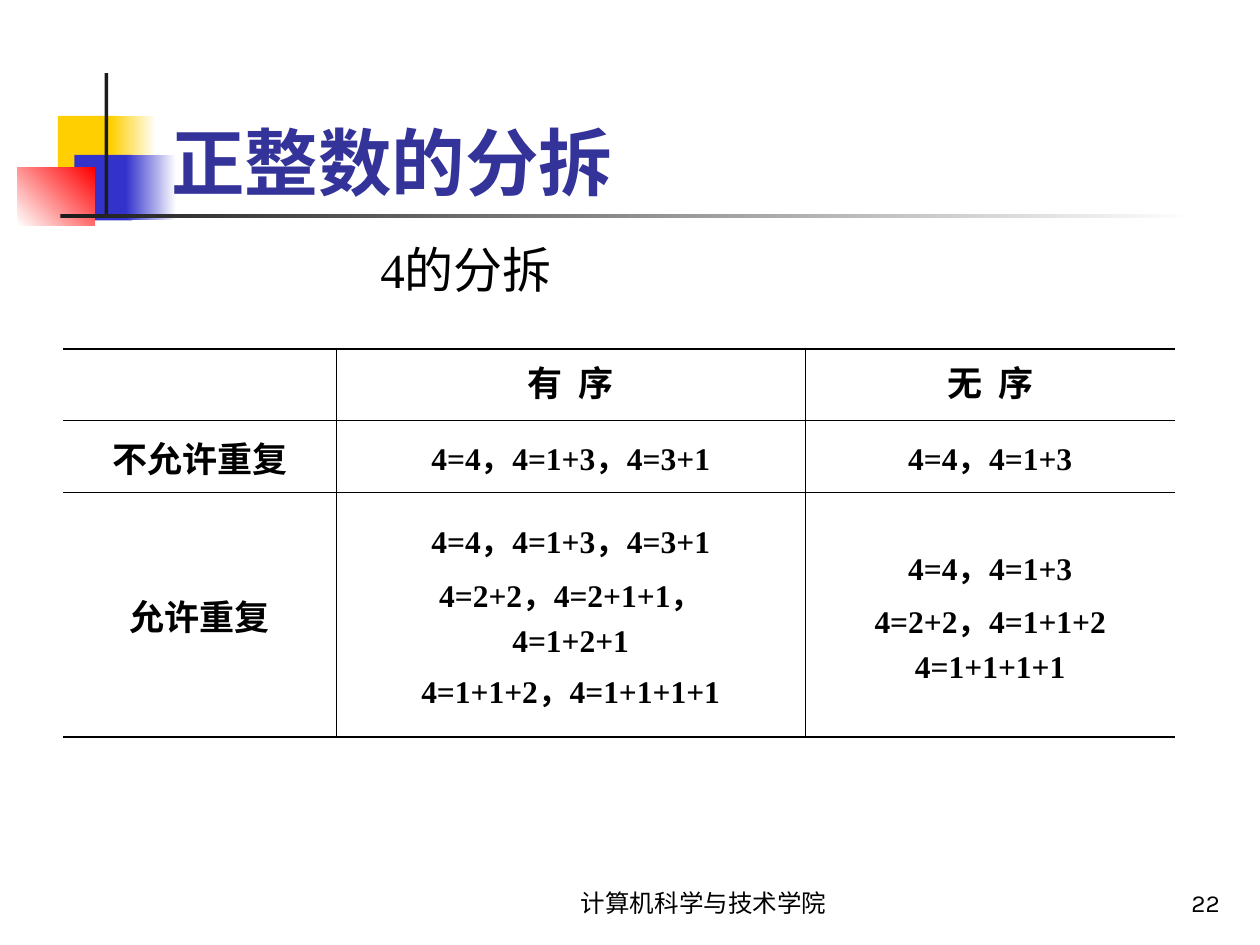
from lxml import etree
from pptx import Presentation
from pptx.dml.color import RGBColor
from pptx.enum import shapes, text
from pptx.oxml import ns
from pptx.util import Inches, Pt

BLACK = RGBColor(0x00, 0x00, 0x00)
WHITE = RGBColor(0xFF, 0xFF, 0xFF)
YELLOW = RGBColor(0xFF, 0xCF, 0x01)
BLUE = RGBColor(0x33, 0x33, 0xCC)
RED = RGBColor(0xFF, 0x00, 0x00)
CHARCOAL = RGBColor(0x1C, 0x1C, 0x1C)
INDIGO = RGBColor(0x33, 0x33, 0x99)
LEFT, CENTER, RIGHT = text.PP_ALIGN.LEFT, text.PP_ALIGN.CENTER, text.PP_ALIGN.RIGHT
TOP, MIDDLE, BOTTOM = (text.MSO_ANCHOR.TOP, text.MSO_ANCHOR.MIDDLE,
                       text.MSO_ANCHOR.BOTTOM)
CJK_FONT = "Noto Sans CJK SC"
SERIF = "Times New Roman"


def write(frame, lines, align, space=0, **format_values):
    """Fill a text frame with one paragraph per line."""
    for index, line in enumerate(lines):
        para = frame.paragraphs[0] if index == 0 else frame.add_paragraph()
        para.alignment = align
        para.space_before = Pt(space if index else 0)
        span = para.add_run()
        span.text = line
        for name, value in format_values.items():
            setattr(span.font, name, value)
        span.font.color.rgb = INDIGO if frame is title_frame else BLACK
        east_asian = etree.SubElement(span.font._element, ns.qn("a:ea"))
        east_asian.set("typeface", CJK_FONT)


def add_border(cell, side, width):
    """Draw one side of a cell; a width of 0 leaves it open."""
    line = etree.SubElement(cell._tc.get_or_add_tcPr(), ns.qn("a:ln" + side))
    line.set("w", str(int(Pt(width))))
    if width:
        fill = etree.SubElement(line, ns.qn("a:solidFill"))
        etree.SubElement(fill, ns.qn("a:srgbClr")).set("val", str(BLACK))
    else:
        etree.SubElement(line, ns.qn("a:noFill"))


deck = Presentation()
deck.slide_width, deck.slide_height = Inches(10), Inches(7.5)
page = deck.slides.add_slide(deck.slide_layouts[5])

# Title
title = page.shapes.title
title.left, title.top = Inches(1.26), Inches(0.08)
title.width, title.height = Inches(8.52), Inches(1.6)
title_frame = title.text_frame
title_frame.auto_size = text.MSO_AUTO_SIZE.NONE
title_frame.vertical_anchor = BOTTOM
write(title_frame, ["正整数的分拆"], LEFT, size=Pt(42), name=CJK_FONT, bold=True)

# Decorative blocks and rules: place, start colour, end colour, angle
ornaments = [
    ((0.46, 0.92, 0.48, 0.52), YELLOW, None, 0),
    ((0.88, 0.92, 0.36, 0.52), YELLOW, WHITE, 0),
    ((0.59, 1.23, 0.46, 0.52), BLUE, None, 0),
    ((1, 1.23, 0.4, 0.52), BLUE, WHITE, 0),
    ((0.14, 1.33, 0.61, 0.46), WHITE, RED, 45),
    ((0.83, 0.58, 0.03, 1.15), CHARCOAL, None, 0),
    ((0.48, 1.7, 9, 0.03), CHARCOAL, WHITE, 0),
]
for place, start, end, angle in ornaments:
    block = page.shapes.add_shape(shapes.MSO_SHAPE.RECTANGLE, *map(Inches, place))
    block.shadow.inherit = False
    block.line.fill.background()
    if end is None:
        block.fill.solid()
        block.fill.fore_color.rgb = start
    else:
        block.fill.gradient()
        block.fill.gradient_angle = angle
        for stop, color in zip(block.fill.gradient_stops, (start, end)):
            stop.color.rgb = color
    # Keep the ornaments behind the title
    title._element.addprevious(block._element)

# Subtitle, footer and page number
labels = [
    ("4的分拆", (2.92, 1.85, 5.67, 0.57), LEFT, TOP, 28, SERIF),
    ("计算机科学与技术学院", (4, 6.83, 3.17, 0.5), CENTER, BOTTOM, 14, "Karla"),
    ("22", (7.7, 6.83, 2.08, 0.5), RIGHT, BOTTOM, 14, "Karla"),
]
for label, place, align, anchor, size, font_name in labels:
    box = page.shapes.add_textbox(*map(Inches, place))
    box.text_frame.word_wrap = True
    box.text_frame.vertical_anchor = anchor
    write(box.text_frame, [label], align, size=Pt(size), name=font_name)

# Table of partitions
rows = [
    [[], ["有  序"], ["无  序"]],
    [["不允许重复"], ["4=4，4=1+3，4=3+1"], ["4=4，4=1+3"]],
    [["允许重复"],
     ["4=4，4=1+3，4=3+1", "4=2+2，4=2+1+1，", "4=1+2+1", "4=1+1+2，4=1+1+1+1"],
     ["4=4，4=1+3", "4=2+2，4=1+1+2", "4=1+1+1+1"]],
]
THIN, THICK = 0.45, 1.08
table = page.shapes.add_table(3, 3, Inches(0.5), Inches(2.77),
                              Inches(8.83), Inches(3.08)).table
table.first_row = table.horz_banding = False
for column, width in zip(table.columns, (2.17, 3.72, 2.94)):
    column.width = Inches(width)
for row, height in zip(table.rows, (0.57, 0.57, 1.94)):
    row.height = Inches(height)

for r, row in enumerate(rows):
    for c, lines in enumerate(row):
        cell = table.cell(r, c)
        cell.vertical_anchor = MIDDLE if r else TOP
        heading = r == 0 or c == 0
        write(cell.text_frame, lines, CENTER, space=4.5,
              size=Pt(20 if heading else 18), name=SERIF, bold=True)
        add_border(cell, "L", THIN if c > 0 else 0)
        add_border(cell, "R", THIN if c < 2 else 0)
        add_border(cell, "T", THIN if r > 0 else THICK)
        add_border(cell, "B", THIN if r < 2 else THICK)
        cell.fill.background()

deck.save("out.pptx")
